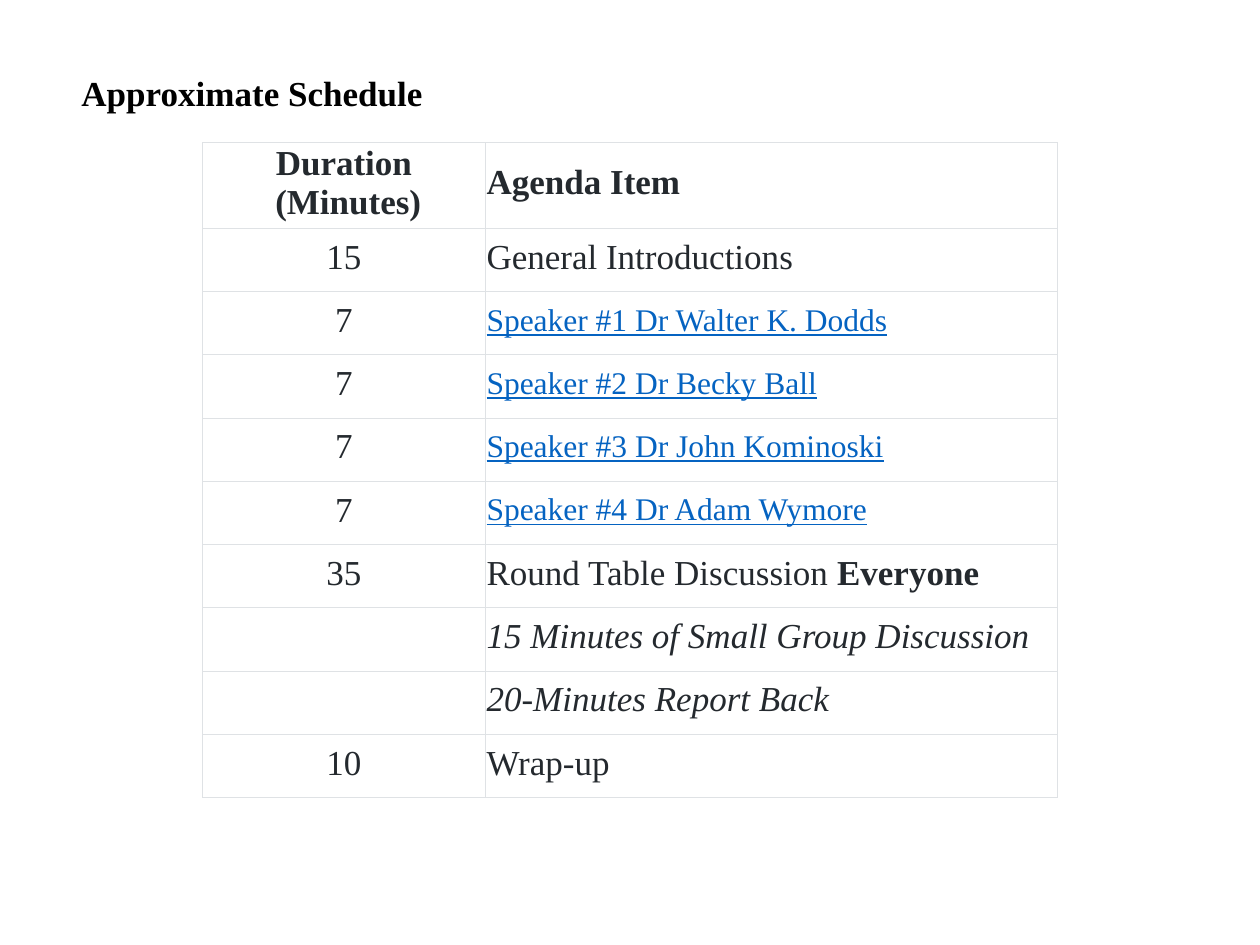
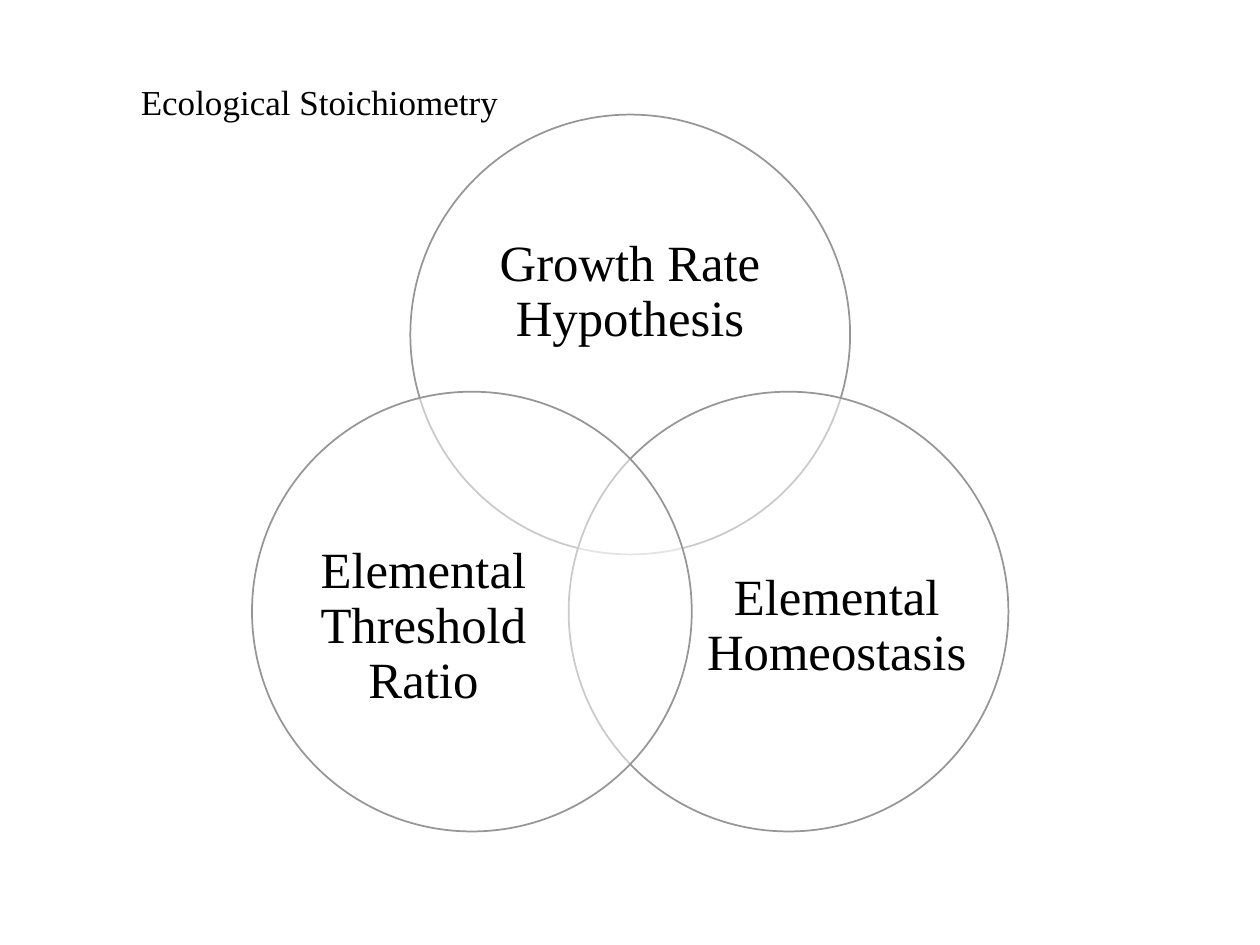
"""Build a schedule slide and a Venn diagram slide on ecological stoichiometry."""
from lxml import etree
from pptx import Presentation
from pptx.dml.color import RGBColor
from pptx.enum.shapes import MSO_SHAPE
from pptx.enum.text import MSO_ANCHOR, MSO_AUTO_SIZE, PP_ALIGN
from pptx.oxml.ns import qn
from pptx.util import Pt

OVAL = MSO_SHAPE.OVAL
MIDDLE = MSO_ANCHOR.MIDDLE
GROW = MSO_AUTO_SIZE.SHAPE_TO_FIT_TEXT
LEFT, CENTER = PP_ALIGN.LEFT, PP_ALIGN.CENTER

FONT = "Times New Roman"
COLORS = {"black": "000000", "white": "FFFFFF", "ink": "24292E",
          "link": "0563C1", "grid": "DFE2E5", "ring": "969696"}
SIDES = ("margin_left", "margin_top", "margin_right", "margin_bottom")

PLAIN = {"size": Pt(20), "color": "ink"}
BOLD = {**PLAIN, "bold": True}
ITALIC = {**PLAIN, "italic": True}
LINK = {"size": Pt(18), "color": "link", "underline": True}
TITLE = {"size": Pt(20), "color": "black"}
LABEL = {"size": Pt(29), "color": "black"}

AGENDA = [
    (["Duration", " (Minutes)"], [("Agenda Item", BOLD)]),
    (["15"], [("General Introductions", PLAIN)]),
    (["7"], [("Speaker #1 Dr Walter K. Dodds", LINK)]),
    (["7"], [("Speaker #2 Dr Becky Ball", LINK)]),
    (["7"], [("Speaker #3 Dr John Kominoski", LINK)]),
    (["7"], [("Speaker #4 Dr Adam Wymore", LINK)]),
    (["35"], [("Round Table Discussion ", PLAIN), ("Everyone", BOLD)]),
    ([], [("15 Minutes of Small Group Discussion", ITALIC)]),
    ([], [("20-Minutes Report Back", ITALIC)]),
    (["10"], [("Wrap-up", PLAIN)]),
]

# Circle offset, then label box, all as shares of the diameter.
VENN = [
    ("Growth Rate Hypothesis", (0.36, 0), (0.13, 0.18, 0.74, 0.45)),
    ("Elemental Homeostasis", (0.72, 0.63), (0.31, 0.26, 0.6, 0.55)),
    ("Elemental Threshold Ratio", (0, 0.63), (0.09, 0.26, 0.6, 0.55)),
]


def rgb(name):
    """Return the named colour."""
    return RGBColor.from_string(COLORS[name])


def apply(obj, form):
    """Set each attribute in form on obj."""
    for key, value in form.items():
        setattr(obj, key, value)


def write(frame, paras, align=LEFT, space=None):
    """Fill frame with paragraphs, each a list of (text, form) runs."""
    for num, runs in enumerate(paras):
        para = frame.add_paragraph() if num else frame.paragraphs[0]
        apply(para, {"alignment": align, "line_spacing": space})
        for text, form in runs:
            run = para.add_run()
            run.text = text
            font = {"name": FONT, **form}
            run.font.color.rgb = rgb(font.pop("color"))
            apply(run.font, font)


def title(slide, box, text, **form):
    """Add an unwrapped heading in box."""
    frame = slide.shapes.add_textbox(*map(Pt, box)).text_frame
    apply(frame, {"word_wrap": False, "auto_size": GROW})
    write(frame, [[(text, {**TITLE, **form})]])


def border(cell):
    """Draw a thin line on all sides of a cell."""
    props = cell._tc.get_or_add_tcPr()
    for side in ("lnL", "lnR", "lnT", "lnB"):
        line = etree.SubElement(props, qn(f"a:{side}"), w=str(Pt(0.5)))
        fill = etree.SubElement(line, qn("a:solidFill"))
        etree.SubElement(fill, qn("a:srgbClr"), val=COLORS["grid"])


def agenda(slide, box, head, split):
    """Add the agenda table in box, with a header of height head."""
    left, top, width, height = box
    count = len(AGENDA)
    table = slide.shapes.add_table(count, 2, *map(Pt, box)).table
    apply(table, {"first_row": False, "horz_banding": False})
    for col, size in zip(table.columns, (split, width - split)):
        col.width = Pt(size)
    for num, (times, item) in enumerate(AGENDA):
        row = table.rows[num]
        row.height = Pt((height - head) / (count - 1) if num else head)
        form = PLAIN if num else BOLD
        texts = ([[(time, form)] for time in times], [item])
        for cell, paras, align in zip(row.cells, texts, (CENTER, LEFT)):
            border(cell)
            cell.fill.background()
            apply(cell, dict(zip(SIDES, map(Pt, (0.75, 0.75, 0.75, 3.75)))))
            cell.vertical_anchor = MIDDLE
            write(cell.text_frame, paras, align)


def ring(slide, left, top, size):
    """Add a half-clear circle."""
    oval = slide.shapes.add_shape(OVAL, *map(Pt, (left, top, size, size)))
    oval.shadow.inherit = False
    oval.fill.solid()
    oval.fill.fore_color.rgb = rgb("white")
    tint = oval.fill._xPr.find(f".//{qn('a:srgbClr')}")
    etree.SubElement(tint, qn("a:alpha"), val="50000")
    oval.line.color.rgb = rgb("ring")
    oval.line.width = Pt(1)


def venn(slide, left, top, size):
    """Add three labelled circles of diameter size from a corner."""
    for text, (dx, dy), (lx, ly, wide, high) in VENN:
        ring(slide, left + dx * size, top + dy * size, size)
        box = (left + (dx + lx) * size, top + (dy + ly) * size,
               wide * size, high * size)
        frame = slide.shapes.add_textbox(*map(Pt, box)).text_frame
        apply(frame, {"word_wrap": True, "vertical_anchor": MIDDLE,
                      **dict.fromkeys(SIDES, 0)})
        write(frame, [[(text, LABEL)]], CENTER, 0.9)


def main():
    """Build and save both slides."""
    deck = Presentation()
    apply(deck, {"slide_width": Pt(720), "slide_height": Pt(540)})
    blank = deck.slide_layouts[6]

    plan = deck.slides.add_slide(blank)
    agenda(plan, (115.8, 81.5, 488.5, 374), 48.5, 161.5)
    title(plan, (39.5, 37.5, 211, 31.5), "Approximate Schedule", bold=True)

    theory = deck.slides.add_slide(blank)
    venn(theory, 144, 65.5, 251.3)
    title(theory, (73.4, 42.5, 219.6, 31.5), "Ecological Stoichiometry")

    deck.save("out.pptx")


if __name__ == "__main__":
    main()
